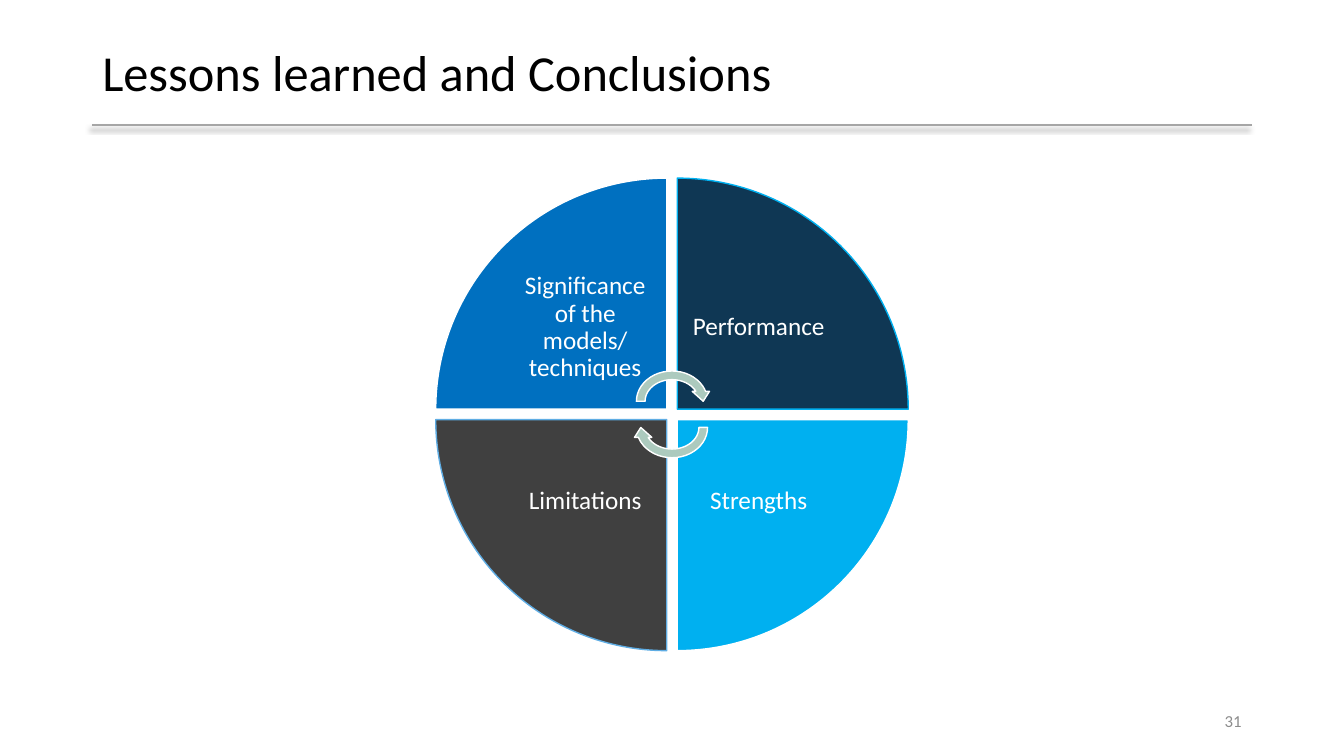
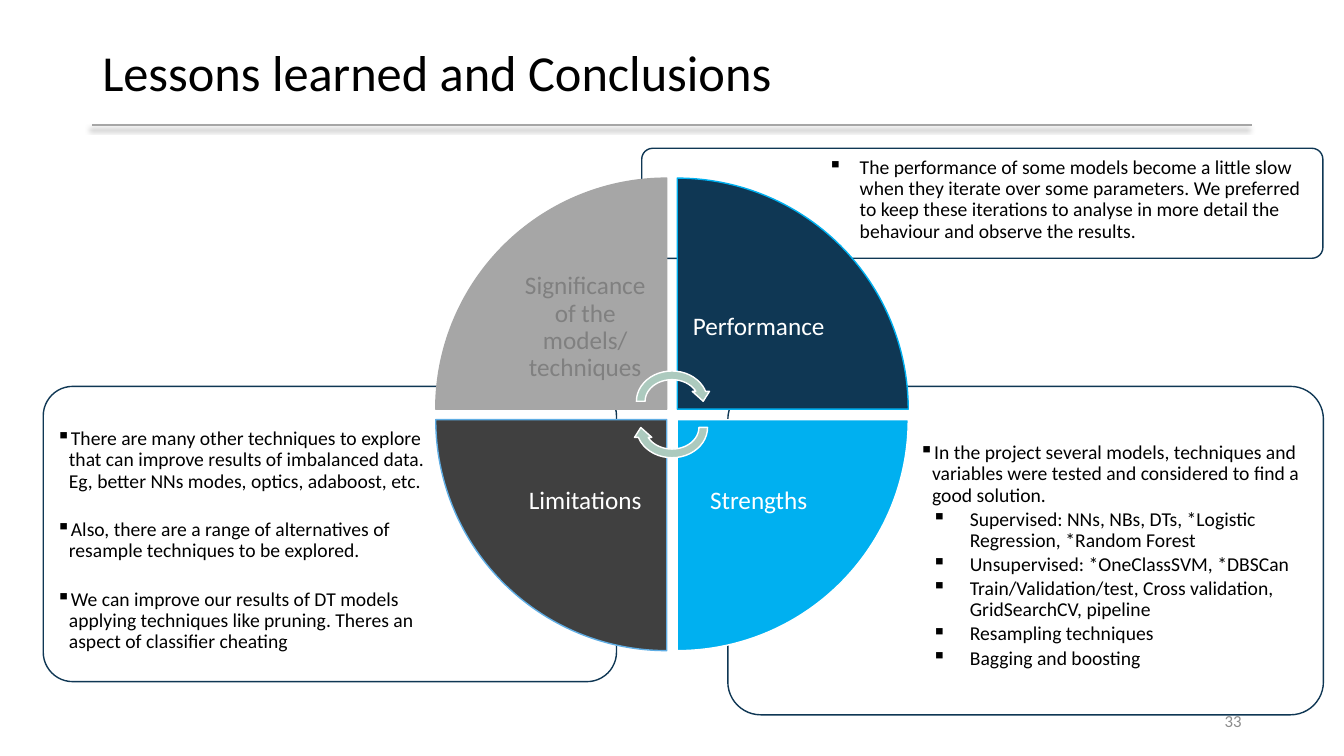
from lxml import etree
from pptx import Presentation
from pptx.dml.color import RGBColor
from pptx.enum.shapes import MSO_CONNECTOR, MSO_SHAPE
from pptx.enum.text import MSO_ANCHOR, PP_ALIGN
from pptx.oxml.ns import qn
from pptx.util import Inches, Pt

WEDGE = MSO_SHAPE.PIE_WEDGE
ARROW = MSO_SHAPE.CIRCULAR_ARROW
ROUNDED = MSO_SHAPE.ROUNDED_RECTANGLE
STRAIGHT = MSO_CONNECTOR.STRAIGHT
LEFT, CENTER, RIGHT = PP_ALIGN.LEFT, PP_ALIGN.CENTER, PP_ALIGN.RIGHT
TOP, MIDDLE = MSO_ANCHOR.TOP, MSO_ANCHOR.MIDDLE

# The slide is a grid of square cells.
COLUMNS, ROWS = 160, 90
CELL = Inches(1 / 12)

FONT = "Calibri"
BLACK, WHITE = "000000", "FFFFFF"
NAVY, SKY, BLUE = "0F3754", "00B0F0", "0070C0"
CHARCOAL, PALE_BLUE, SAGE = "404040", "5FADE4", "ACCABE"
SILVER, GRAY, PAGE_GRAY = "A6A6A6", "808080", "8C8C8C"

TITLE = "Lessons learned and Conclusions"

# Wheel: wedges of one size around a centre, clockwise from the top left.
CENTER_X, CENTER_Y = 80, 49.33
WEDGE_SIZE, WEDGE_GAP = 27.5, 1.25
LABEL_SIZE, LABEL_INSET = 19.4, 1.7
ARROW_WIDTH, ARROW_HEIGHT, ARROW_SHIFT = 9.5, 8.25, 1.55
QUADRANTS = [(-1, -1), (1, -1), (1, 1), (-1, 1)]

# Each wedge: label, fill, line, text colour.
SIGNIFICANCE = "Significance of the models/ techniques"
ACTIVE_WEDGE = (SIGNIFICANCE, BLUE, WHITE, WHITE)
MUTED_WEDGE = (SIGNIFICANCE, SILVER, SILVER, GRAY)
OTHER_WEDGES = [
    ("Performance", NAVY, SKY, WHITE),
    ("Strengths", SKY, WHITE, WHITE),
    ("Limitations", CHARCOAL, PALE_BLUE, WHITE),
]

# Bullet levels: left margin and hanging indent, in cells.
WIDE, TIGHT, NESTED = (3.75, 3.75), (1.5, 1.5), (6, 4.5)
LINE_GAP, PARA_GAP = 2.1, 19.6

PERFORMANCE_NOTES = [
    (WIDE, "The performance of some models become a little slow when they "
           "iterate over some parameters. We preferred to keep these "
           "iterations to analyse in more detail the behaviour and observe "
           "the results."),
]
STRENGTH_NOTES = [
    (TIGHT, "In the project several models, techniques and variables were "
            "tested and considered to find a good solution."),
    (NESTED, "Supervised: NNs, NBs, DTs, *Logistic Regression, *Random Forest"),
    (NESTED, "Unsupervised: *OneClassSVM, *DBSCan"),
    (NESTED, "Train/Validation/test, Cross validation, GridSearchCV, pipeline"),
    (NESTED, "Resampling techniques"),
    (NESTED, "Bagging and boosting"),
]
LIMITATION_NOTES = [
    (TIGHT, "There are many other techniques to explore that can improve "
            "results of imbalanced data. Eg, better NNs modes, optics, "
            "adaboost, etc."),
    (TIGHT, "Also, there are a range of alternatives of resample techniques "
            "to be explored."),
    (TIGHT, "We can improve our results of DT models applying techniques "
            "like pruning. Theres an aspect of classifier cheating"),
]


def color(hex_text):
    return RGBColor.from_string(hex_text)


def cells(*counts):
    """Turn counts of grid cells into slide lengths."""
    return [round(count * CELL) for count in counts]


class Deck:
    """The presentation, its style and the slide being filled."""

    def __init__(self):
        self.deck = Presentation()
        self.deck.slide_width, self.deck.slide_height = cells(COLUMNS, ROWS)
        self.page = None

    def add_page(self, title):
        self.page = self.deck.slides.add_slide(self.deck.slide_layouts[6])
        self.rule(11, 149, 14.88)
        self.text(title, (11, 0.25, 138, 17.4), 36, spacing=0.9)

    def rule(self, start, end, row):
        """Draw the shadowed line under the title."""
        line = self.page.shapes.add_connector(
            STRAIGHT, *cells(start, row, end, row))
        line.line.color.rgb = color(SILVER)
        line.line.width = Pt(1.5)
        effects = etree.SubElement(line._element.spPr, qn("a:effectLst"))
        shadow = etree.SubElement(
            effects, qn("a:outerShdw"), blurRad=str(Pt(4)), dist=str(Pt(3)),
            dir=str(135 * 60000), algn="tr", rotWithShape="0")
        tint = etree.SubElement(shadow, qn("a:srgbClr"), val=BLACK)
        etree.SubElement(tint, qn("a:alpha"), val="40000")

    def set_frame(self, frame, insets, anchor):
        frame.word_wrap = True
        frame.vertical_anchor = anchor
        (frame.margin_left, frame.margin_top,
         frame.margin_right, frame.margin_bottom) = cells(*insets)

    def set_para(self, para, text, size, ink, align, spacing, after):
        para.text = text
        para.alignment = align
        para.line_spacing = spacing
        para.space_after = Pt(after)
        for span in para.runs:
            span.font.name = FONT
            span.font.size = Pt(size)
            span.font.color.rgb = color(ink)

    def text(self, text, area, size, ink=BLACK, align=LEFT, spacing=1.0,
             after=0, insets=(1.2, 0.6, 1.2, 0.6)):
        box = self.page.shapes.add_textbox(*cells(*area))
        self.set_frame(box.text_frame, insets, MIDDLE)
        self.set_para(box.text_frame.paragraphs[0], text, size, ink, align,
                      spacing, after)

    def shape(self, kind, area, fill, line, rotation=0):
        shape = self.page.shapes.add_shape(kind, *cells(*area))
        shape.shadow.inherit = False
        shape.fill.solid()
        shape.fill.fore_color.rgb = color(fill)
        shape.line.color.rgb = color(line)
        shape.line.width = Pt(1)
        shape.rotation = rotation
        return shape

    def note(self, area, insets, items, after=LINE_GAP):
        """Draw a rounded, slightly transparent box with bulleted text."""
        box = self.shape(ROUNDED, area, WHITE, NAVY)
        box.adjustments[0] = 0.1
        tint = box._element.spPr.find(qn("a:solidFill")).find(qn("a:srgbClr"))
        etree.SubElement(tint, qn("a:alpha"), val="90000")
        # The preset already keeps its text clear of the corners.
        corner = 0.1 * 0.29 * min(area[2:])
        frame = box.text_frame
        self.set_frame(frame, [max(inset - corner, 0) for inset in insets], TOP)
        for index, ((margin, hanging), text) in enumerate(items):
            para = frame.add_paragraph() if index else frame.paragraphs[0]
            self.bullet(para, margin, hanging)
            self.set_para(para, text, 14, BLACK, LEFT, 0.9, after)

    def bullet(self, para, margin, hanging):
        margin, hanging = cells(margin, hanging)
        props = para._p.get_or_add_pPr()
        props.set("marL", str(margin))
        props.set("indent", str(-hanging))
        etree.SubElement(props, qn("a:buChar"), char="▪")

    def wheel(self, wedges):
        """Draw four labelled wedges and the two arrows at their centre."""
        for index, (side, level) in enumerate(QUADRANTS):
            label, fill, line, ink = wedges[index]

            def corner(size):
                """Place a square against the centre of the wheel."""
                reach = (WEDGE_GAP + size) / 2
                return (CENTER_X + side * reach - size / 2,
                        CENTER_Y + level * reach - size / 2, size, size)

            self.shape(WEDGE, corner(WEDGE_SIZE), fill, line, 90 * index)
            self.text(label, corner(LABEL_SIZE), 18, ink, CENTER, 0.9, 6.3,
                      [LABEL_INSET] * 4)
        for level, rotation in ((-1, 0), (1, 180)):
            top = CENTER_Y + level * ARROW_SHIFT - ARROW_HEIGHT / 2
            area = (CENTER_X - ARROW_WIDTH / 2, top, ARROW_WIDTH, ARROW_HEIGHT)
            self.shape(ARROW, area, SAGE, WHITE, rotation)

    def page_number(self, number):
        self.text(str(number), (113, 83.4, 36, 4.8), 12, PAGE_GRAY, RIGHT)


def main():
    deck = Deck()

    deck.add_page(TITLE)
    deck.wheel([ACTIVE_WEDGE] + OTHER_WEDGES)
    deck.page_number(31)

    deck.add_page(TITLE)
    deck.note((76.4, 17.65, 81.1, 13.1), (22.2, 1.1, 1.1, 0),
              PERFORMANCE_NOTES)
    deck.note((86.65, 46, 70.9, 39.1), (22.8, 6.7, 1.55, 0), STRENGTH_NOTES)
    deck.note((5.15, 46, 68.25, 35.15), (1.55, 5.05, 21, 0),
              LIMITATION_NOTES, PARA_GAP)
    deck.wheel([MUTED_WEDGE] + OTHER_WEDGES)
    deck.page_number(33)

    deck.deck.save("out.pptx")


if __name__ == "__main__":
    main()
